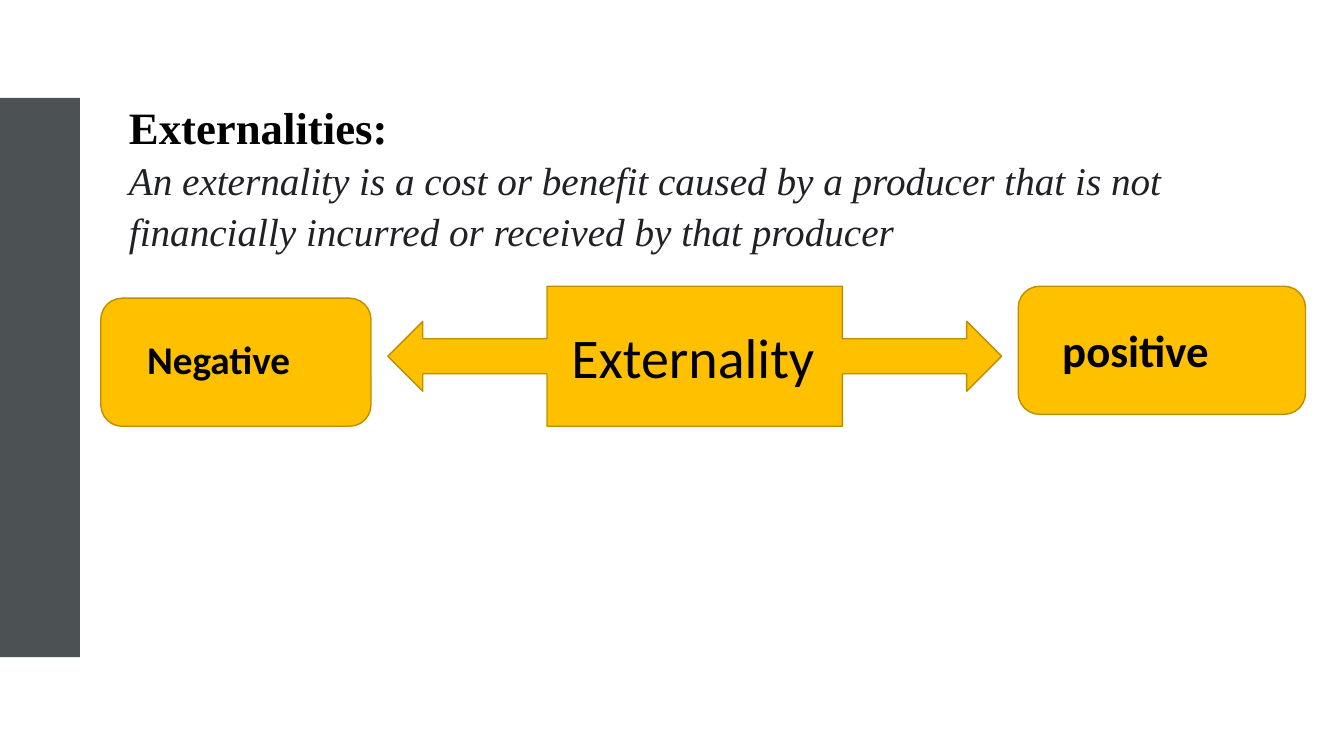
from pptx import Presentation
from pptx.dml.color import RGBColor
from pptx.enum.shapes import MSO_SHAPE
from pptx.util import Pt

COLORS = {
    "slate": "4C5254",
    "gold": "FFC000",
    "gold_edge": "BD8E00",
    "black": "000000",
    "ink": "202124",
}


def color(name):
    return RGBColor.from_string(COLORS[name])


def add_box(page, kind, left, top, width, height, fill, edge=None):
    box = page.shapes.add_shape(kind, Pt(left), Pt(top), Pt(width), Pt(height))
    box.shadow.inherit = False
    box.fill.solid()
    box.fill.fore_color.rgb = color(fill)
    if edge:
        box.line.color.rgb = color(edge)
        box.line.width = Pt(1)
    else:
        box.line.fill.background()
    return box


def add_frame(page, left, top, width, height, margin_top=3.6):
    frame = page.shapes.add_textbox(Pt(left), Pt(top), Pt(width), Pt(height)).text_frame
    frame.word_wrap = True
    frame.margin_top = Pt(margin_top)
    return frame


def write(para, text, size, font="Calibri", ink="black", bold=False, italic=False):
    span = para.add_run()
    span.text = text
    span.font.name = font
    span.font.size = Pt(size)
    span.font.bold = bold
    span.font.italic = italic
    span.font.color.rgb = color(ink)


def add_definition(page):
    frame = add_frame(page, 85, 32.4, 838.8, 172, margin_top=36)
    heading = frame.paragraphs[0]
    meaning = frame.add_paragraph()
    for para in (heading, meaning):
        para.line_spacing = 1.07
    write(heading, "Externalities:", 32, font="Times New Roman", bold=True)
    write(
        meaning,
        "An externality is a cost or benefit caused by a producer that is not "
        "financially incurred or received by that producer",
        28, font="Times New Roman", ink="ink", italic=True,
    )


def add_label(page, text, left, top, width, height, size, bold=False):
    frame = add_frame(page, left, top, width, height)
    write(frame.paragraphs[0], text, size, bold=bold)


def main():
    deck = Presentation()
    deck.slide_width, deck.slide_height = Pt(960), Pt(540)
    page = deck.slides.add_slide(deck.slide_layouts[6])

    add_box(page, MSO_SHAPE.RECTANGLE, 0, 70, 57, 399.5, "slate")
    add_definition(page)

    add_box(page, MSO_SHAPE.LEFT_RIGHT_ARROW_CALLOUT,
            277, 204.5, 438.5, 100, "gold", "gold_edge")
    add_label(page, "Externality", 401, 226.8, 206, 55.4, 40)

    add_box(page, MSO_SHAPE.ROUNDED_RECTANGLE, 72, 213, 193, 91.5, "gold", "gold_edge")
    add_label(page, "Negative", 98, 236.2, 152, 41, 28, bold=True)

    add_box(page, MSO_SHAPE.ROUNDED_RECTANGLE, 727.3, 204.5, 205.2, 91.5, "gold", "gold_edge")
    add_label(page, "positive", 751.7, 226.8, 175, 46, 32, bold=True)

    deck.save("out.pptx")


if __name__ == "__main__":
    main()
